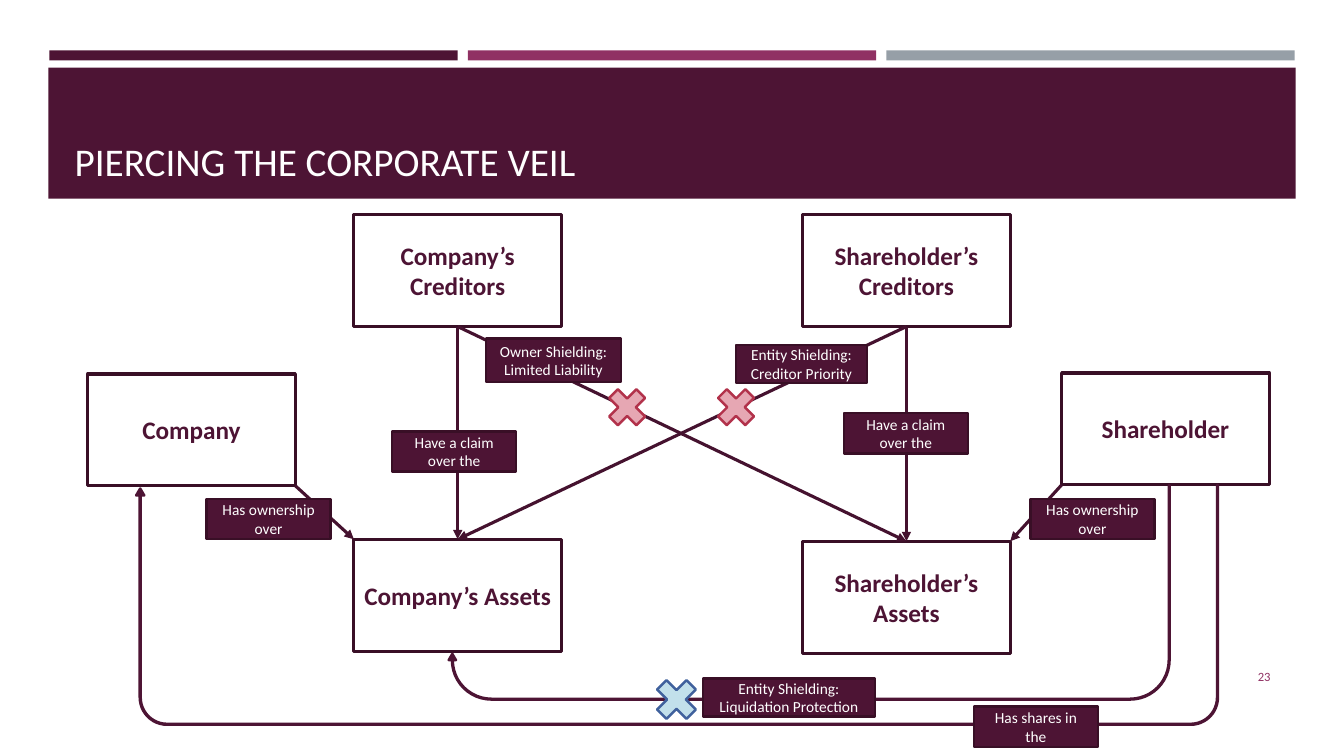
from lxml.etree import SubElement
from pptx import Presentation
from pptx.dml.color import RGBColor
from pptx.enum.shapes import MSO_CONNECTOR, MSO_SHAPE
from pptx.enum.text import MSO_ANCHOR, PP_ALIGN
from pptx.oxml.ns import qn
from pptx.util import Inches, Pt

HUES = {
    "plum": "4D1434", "edge": "390F26", "line": "45122F", "berry": "903163",
    "grey": "969FA7", "white": "FFFFFF", "rose": "E6A7B3", "red": "B2324B",
    "sky": "C2E0EB", "blue": "40619D",
}
TOP, BOTTOM = 0, 2


def hue(name):
    return RGBColor.from_string(HUES[name])


class Chart:
    """Holds the slide and the look of every element on it."""

    font = "Calibri"
    box_size = (2.06, 1.11)
    tag_size = (1.23, 0.4)

    def __init__(self, slide):
        self.slide = slide
        self.shapes = slide.shapes

    def letter(self, shape, text, size, color, bold=False,
               align=PP_ALIGN.CENTER, anchor=MSO_ANCHOR.MIDDLE, inset=0.1):
        """Put styled text into a shape."""
        frame = shape.text_frame
        frame.text = text
        look = {"word_wrap": True, "vertical_anchor": anchor,
                "margin_left": Inches(inset), "margin_right": Inches(inset)}
        for key, value in look.items():
            setattr(frame, key, value)
        style = {"name": self.font, "size": Pt(size), "bold": bold}
        for para in frame.paragraphs:
            para.alignment = align
            for key, value in style.items():
                setattr(para.font, key, value)
            para.font.color.rgb = hue(color)

    def shape(self, kind, place, fill, edge=None, width=1.75):
        item = self.shapes.add_shape(kind, *map(Inches, place))
        item.shadow.inherit = False
        item.fill.solid()
        item.fill.fore_color.rgb = hue(fill)
        if edge:
            item.line.color.rgb = hue(edge)
            item.line.width = Pt(width)
        else:
            item.line.fill.background()
        return item

    def bar(self, place, fill):
        self.shape(MSO_SHAPE.RECTANGLE, place, fill)

    def title(self, text, place):
        item = self.shapes.title
        for key, value in zip(("left", "top", "width", "height"), place):
            setattr(item, key, Inches(value))
        self.letter(item, text, 28, "white", align=PP_ALIGN.LEFT,
                    anchor=MSO_ANCHOR.BOTTOM)
        self.shapes._spTree.append(item._element)

    def number(self, text, place):
        item = self.shapes.add_textbox(*map(Inches, place))
        self.letter(item, text, 9, "berry", align=PP_ALIGN.RIGHT)

    def box(self, text, x, y):
        item = self.shape(MSO_SHAPE.RECTANGLE, (x, y, *self.box_size),
                          "white", "edge", 2.25)
        self.letter(item, text, 18, "plum", bold=True, inset=0.08)
        return item

    def tag(self, text, x, y, size=tag_size):
        item = self.shape(MSO_SHAPE.RECTANGLE, (x, y, *size), "plum", "edge")
        self.letter(item, text, 11, "white")

    def cross(self, x, y, size, fill, edge):
        self.shape(MSO_SHAPE.MATH_MULTIPLY, (x, y, size, size), fill, edge)

    def turn(self, place, bend, tip):
        """Draw a thin U-turn arrow that runs below the boxes."""
        item = self.shape(MSO_SHAPE.U_TURN_ARROW, place, "plum", "plum")
        item.rotation = 180
        for spot, value in enumerate((0.004, 0.017, 0.029, bend, tip)):
            item.adjustments[spot] = value

    def arrow(self, start, end):
        item = self.shapes.add_connector(MSO_CONNECTOR.STRAIGHT,
                                         *start, *end)
        item.line.color.rgb = hue("line")
        item.line.width = Pt(2.25)
        SubElement(item.line._get_or_add_ln(), qn("a:tailEnd"),
                   type="triangle")
        SubElement(item._element.spPr, qn("a:effectLst"))
        return item

    def link(self, upper, lower):
        """Join the bottom of one box to the top of another."""
        item = self.arrow((0, 0), (0, 0))
        item.begin_connect(upper, BOTTOM)
        item.end_connect(lower, TOP)


def main():
    prs = Presentation()
    prs.slide_width, prs.slide_height = Inches(13.33), Inches(7.5)
    chart = Chart(prs.slides.add_slide(prs.slide_layouts[5]))

    for step, fill in enumerate(("plum", "berry", "grey")):
        chart.bar((0.49 + 4.15 * step, 0.5, 4.05, 0.1), fill)
    chart.bar((0.48, 0.67, 12.37, 1.3), "plum")
    chart.title("PIERCING THE CORPORATE VEIL", (0.64, 0.77, 12.06, 1.11))
    chart.number("23", (11.55, 6.51, 1.15, 0.4))

    lender = chart.box("Company’s Creditors", 3.51, 2.13)
    rival = chart.box("Shareholder’s Creditors", 7.96, 2.13)
    goods = chart.box("Company’s Assets", 3.51, 5.35)
    estate = chart.box("Shareholder’s Assets", 7.96, 5.37)
    firm = chart.box("Company", 0.87, 3.71)
    owner = chart.box("Shareholder", 10.53, 3.7)

    for upper in (lender, rival):
        for lower in (goods, estate):
            chart.link(upper, lower)
    chart.arrow((firm.left + firm.width, firm.top + firm.height),
                (goods.left, goods.top))
    chart.arrow((owner.left, owner.top + owner.height),
                (estate.left + estate.width, estate.top))
    chart.turn((1.35, 4.81, 10.73, 2.38), 0.114, 0.985)
    chart.turn((4.45, 4.81, 7.15, 2.13), 0.185, 0.213)

    for text, x, y in (
        ("Have a claim over the", 3.89, 4.28),
        ("Have a claim over the", 8.37, 4.1),
        ("Has ownership over", 2.05, 4.95),
        ("Has ownership over", 10.22, 4.95),
        ("Has shares in the", 9.66, 7.01),
    ):
        chart.tag(text, x, y)
    chart.tag("Owner Shielding: Limited Liability", 4.82, 3.36, (1.34, 0.43))
    chart.tag("Entity Shielding:\nCreditor Priority", 7.3, 3.42, (1.3, 0.38))
    chart.tag("Entity Shielding:\nLiquidation Protection", 6.97, 6.73,
              (1.71, 0.38))

    for x in (5.96, 7.04):
        chart.cross(x, 3.78, 0.52, "rose", "red")
    chart.cross(6.43, 6.66, 0.56, "sky", "blue")

    prs.save("out.pptx")


if __name__ == "__main__":
    main()
